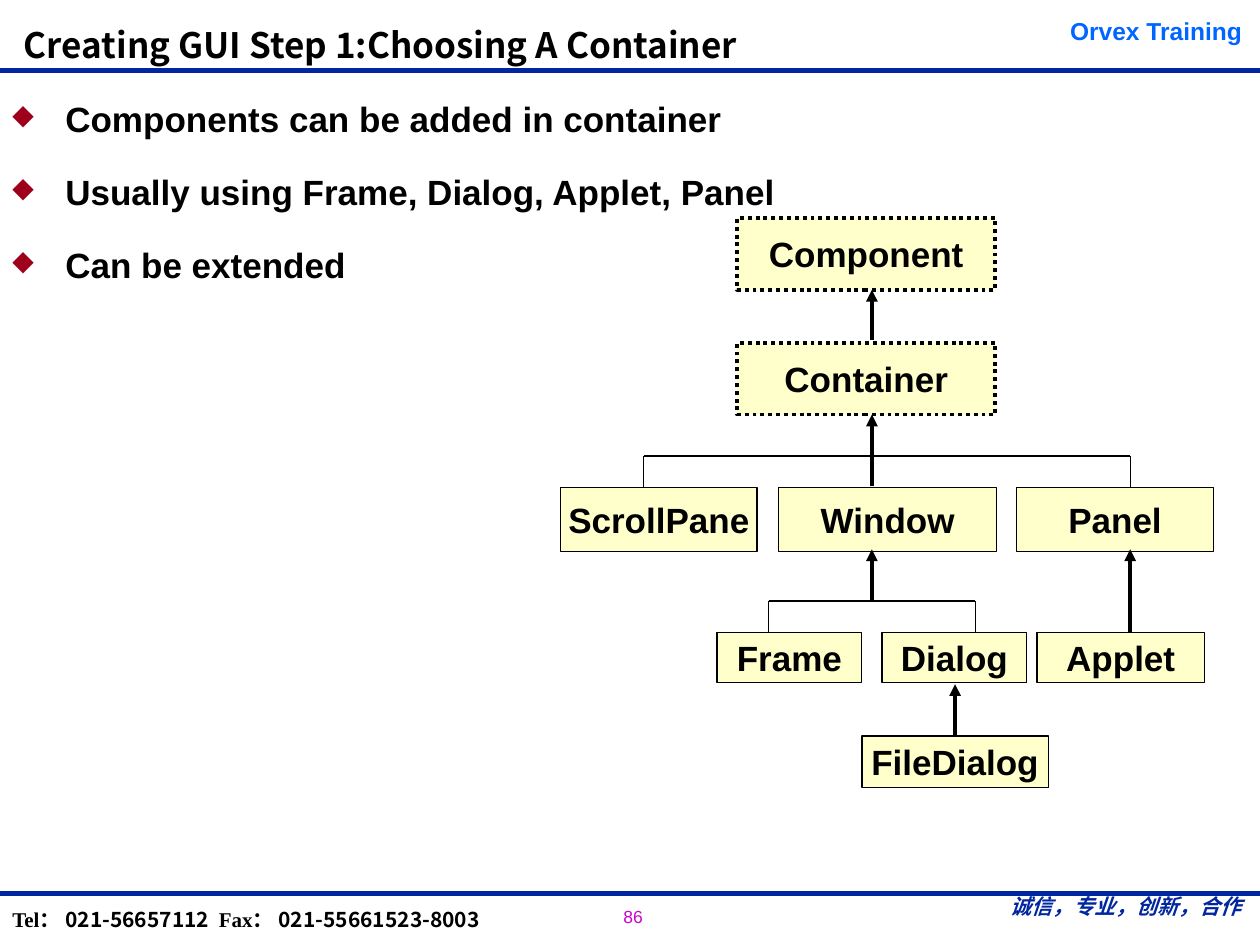
from lxml import etree
from pptx import Presentation, util as u
from pptx.dml.color import RGBColor
from pptx.enum import dml, shapes, text
from pptx.oxml.ns import qn

inch, pt = u.Inches, u.Pt
hue = RGBColor.from_string
left, mid = text.PP_ALIGN.LEFT, text.PP_ALIGN.CENTER
sans, cjk, serif = "Arial", "Noto Sans CJK SC", "Times New Roman"
navy, black = "00279F", "000000"


def write(par, words, size, face=sans, color=black, bold=True, slant=False):
    run = par.add_run()
    run.text = words
    font = run.font
    font.size, font.name, font.bold, font.italic = pt(size), face, bold, slant
    font.color.rgb = hue(color)
    east = etree.SubElement(run._r.get_or_add_rPr(), qn("a:ea"))
    east.set("typeface", cjk)


def link(x1, y1, x2, y2, width=0.75, color=black, arrow=False):
    line = slide.shapes.add_connector(
        shapes.MSO_CONNECTOR.STRAIGHT, inch(x1), inch(y1), inch(x2), inch(y2))
    line.line.width = pt(width)
    line.line.color.rgb = hue(color)
    if arrow:
        tail = etree.SubElement(line.line._get_or_add_ln(), qn("a:tailEnd"))
        tail.set("type", "triangle")
    etree.SubElement(line._element.spPr, qn("a:effectLst"))


deck = Presentation()
deck.slide_width, deck.slide_height = inch(10), inch(7.5)
slide = deck.slides.add_slide(deck.slide_layouts[5])

for y in (0.56, 7.09):
    link(0, y, 10, y, 2.75, navy)

title = slide.shapes.title
title.left, title.top, title.width, title.height = inch(0), inch(0), inch(8.34), inch(0.57)
frame = title.text_frame
frame.auto_size = text.MSO_AUTO_SIZE.NONE
frame.vertical_anchor = text.MSO_ANCHOR.BOTTOM
frame.margin_left = inch(0.19)
par = frame.paragraphs[0]
par.alignment, par.line_spacing = left, 0.87
write(par, "Creating GUI Step 1:Choosing A Container", 20, cjk)

notes = [
    (4.85, 7.14, 0.83, 0.26, left, [("86", 10, sans, "CC00CC", False)]),
    (7.87, 7.04, 2.14, 0.4, mid, [("诚信，专业，创新，合作", 12, serif, navy, True, True)]),
    (0, 6.98, 4.29, 0.5, left, [
        ("Tel： ", 12, serif), ("021-56657112", 12, cjk), (" ", 24, cjk, black, True, True),
        ("Fax： ", 12, serif), ("021-55661523-8003", 12, cjk)]),
    (8.38, 0.08, 1.59, 0.33, mid, [("Orvex Training", 14, sans, "0066FF")]),
]
for x, y, w, h, side, runs in notes:
    frame = slide.shapes.add_textbox(inch(x), inch(y), inch(w), inch(h)).text_frame
    frame.word_wrap = True
    par = frame.paragraphs[0]
    par.alignment = side
    for run in runs:
        write(par, *run)

points = ["Components can be added in container",
          "Usually using Frame, Dialog, Applet, Panel",
          "Can be extended"]
frame = slide.shapes.add_textbox(inch(0), inch(0.64), inch(10), inch(6.37)).text_frame
frame.word_wrap = True
for i, words in enumerate(points):
    par = frame.add_paragraph() if i else frame.paragraphs[0]
    par.line_spacing = pt(29.9)
    par.space_before, par.space_after = pt(5.9 if i else 0), pt(5.9)
    props = par._p.get_or_add_pPr()
    props.set("marL", str(inch(0.42)))
    props.set("indent", str(-inch(0.42)))
    tint = etree.SubElement(props, qn("a:buClr"))
    etree.SubElement(tint, qn("a:srgbClr")).set("val", "9E001B")
    etree.SubElement(props, qn("a:buSzPct")).set("val", "80000")
    etree.SubElement(props, qn("a:buChar")).set("char", "◆")
    write(par, words, 20)

boxes = [
    ("Component", 5.85, 1.73, 2.05, 0.57),
    ("Container", 5.85, 2.72, 2.05, 0.57),
    ("Window", 6.18, 3.87, 1.73, 0.51),
    ("ScrollPane", 4.45, 3.87, 1.56, 0.51),
    ("Panel", 8.07, 3.87, 1.56, 0.51),
    ("Applet", 8.23, 5.02, 1.33, 0.4),
    ("Dialog", 7, 5.02, 1.15, 0.4),
    ("Frame", 5.69, 5.02, 1.15, 0.4),
    ("FileDialog", 6.84, 5.84, 1.48, 0.41),
]
for name, x, y, w, h in boxes:
    box = slide.shapes.add_shape(
        shapes.MSO_SHAPE.RECTANGLE, inch(x), inch(y), inch(w), inch(h))
    box.shadow.inherit = False
    box.fill.solid()
    box.fill.fore_color.rgb = hue("FFFFCC")
    box.line.color.rgb = hue(black)
    box.line.width = pt(0.75)
    if name in ("Component", "Container"):
        box.line.width = pt(2.25)
        box.line.dash_style = dml.MSO_LINE.ROUND_DOT
    frame = box.text_frame
    frame.word_wrap = False
    frame.vertical_anchor = text.MSO_ANCHOR.MIDDLE
    par = frame.paragraphs[0]
    par.alignment = mid
    write(par, name, 20)

for x, low, high in [(6.92, 2.7, 2.3), (6.92, 3.86, 3.29), (6.92, 4.76, 4.36),
                     (8.97, 5.02, 4.36), (7.58, 5.84, 5.43)]:
    link(x, low, x, high, 2.25, arrow=True)

for x1, x2, y in [(5.11, 8.97, 3.62), (6.1, 7.74, 4.77)]:
    link(x1, y, x2, y)
    for x in (x1, x2):
        link(x, y, x, y + 0.25)

deck.save("out.pptx")
